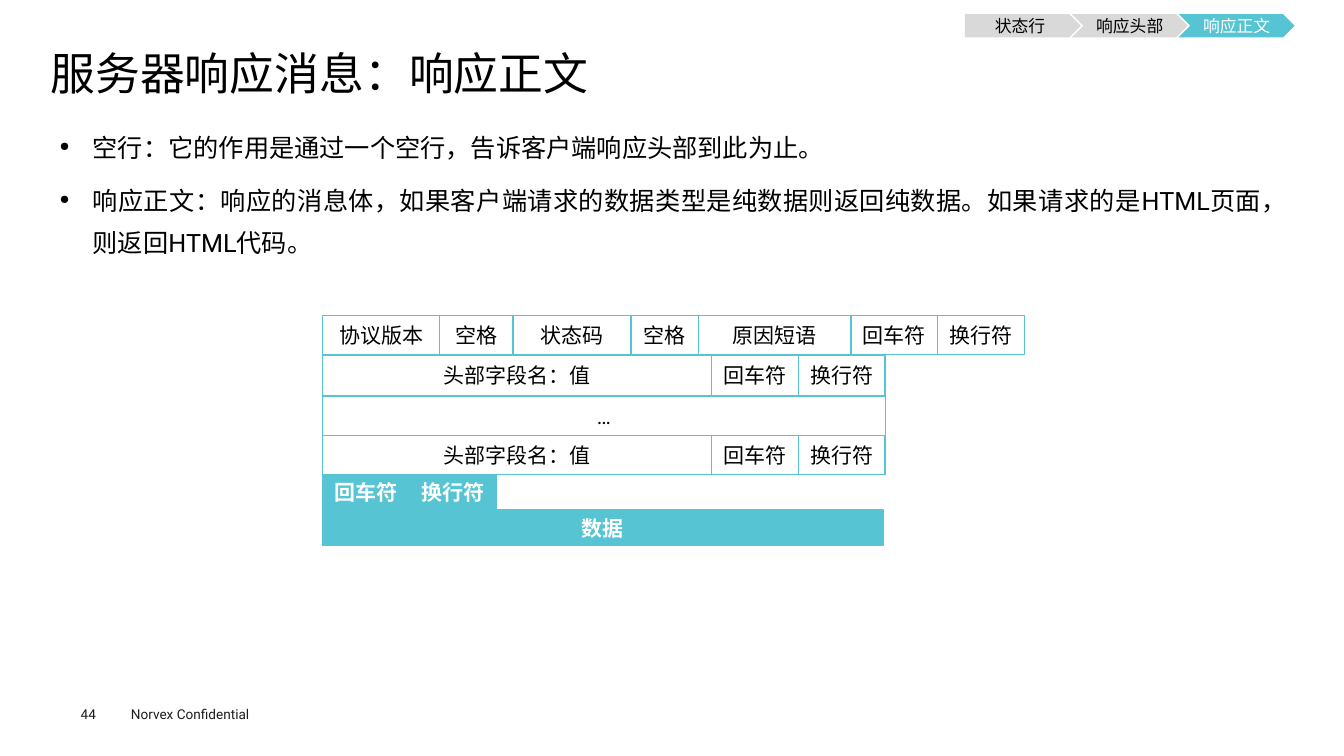
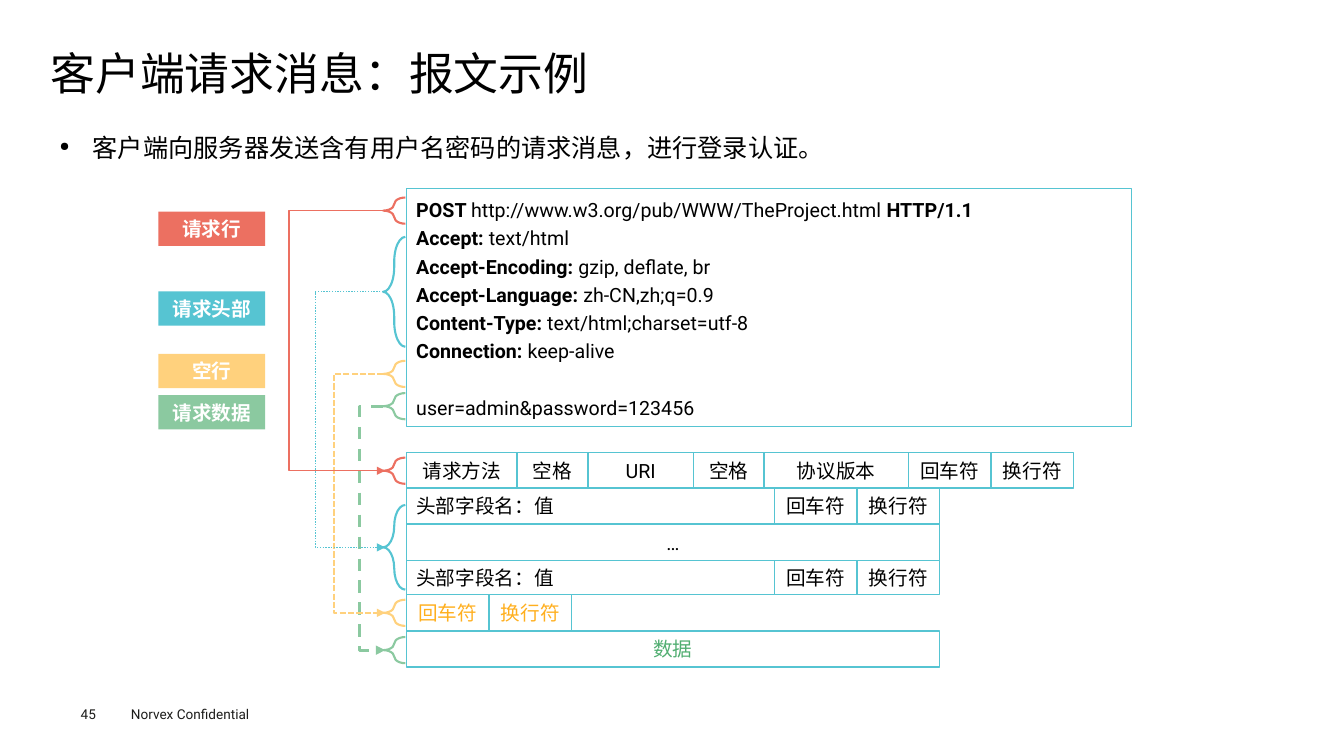
from dataclasses import dataclass

from lxml.etree import SubElement
from pptx import Presentation
from pptx.dml.color import RGBColor
from pptx.enum.dml import MSO_LINE
from pptx.enum.shapes import MSO_CONNECTOR, MSO_SHAPE
from pptx.enum.text import MSO_ANCHOR, PP_ALIGN
from pptx.oxml.ns import qn
from pptx.util import Inches, Pt

BLACK = RGBColor(0x00, 0x00, 0x00)
WHITE = RGBColor(0xFF, 0xFF, 0xFF)
INK = RGBColor(0x1D, 0x1D, 0x1B)
GREY = RGBColor(0xD9, 0xD9, 0xD9)
TEAL = RGBColor(0x56, 0xC4, 0xD2)
RED = RGBColor(0xEC, 0x70, 0x61)
YELLOW = RGBColor(0xFF, 0xD1, 0x7D)
ORANGE = RGBColor(0xFF, 0xAF, 0x1E)
GREEN = RGBColor(0x8B, 0xC9, 0xA0)
DARK_GREEN = RGBColor(0x51, 0xAE, 0x71)

COLUMNS, ROWS = 133.3, 75
RETURN, FEED, SPACE = "回车符", "换行符", "空格"
FIELD = "头部字段名：值"


@dataclass
class Row:
    height: float
    cells: list
    fill: RGBColor = None
    color: RGBColor = BLACK
    bold: bool = False


@dataclass
class Section:
    name: str
    color: RGBColor
    label_top: float
    upper: tuple
    lower: tuple
    bend: float
    weight: float
    dash: MSO_LINE = None


class Deck:
    font_name = "Roboto"

    def __init__(self):
        self.presentation = Presentation()
        self.presentation.slide_width = Inches(13.33)
        self.presentation.slide_height = Inches(7.5)
        self.slide = None

    def across(self, columns):
        return round(self.presentation.slide_width * columns / COLUMNS)

    def down(self, rows):
        return round(self.presentation.slide_height * rows / ROWS)

    def area(self, left, top, width, height):
        return self.across(left), self.down(top), self.across(width), self.down(height)

    def style(self, paragraph, size, color=BLACK, bold=False):
        paragraph.font.name = self.font_name
        paragraph.font.size = Pt(size)
        paragraph.font.bold = bold
        paragraph.font.color.rgb = color

    def text_box(self, area, inset=True):
        frame = self.slide.shapes.add_textbox(*self.area(*area)).text_frame
        frame.word_wrap = True
        if not inset:
            frame.margin_left = frame.margin_right = 0
            frame.margin_top = frame.margin_bottom = 0
        return frame

    def line_of_text(self, text, area, size, color=BLACK, inset=True):
        frame = self.text_box(area, inset)
        frame.text = text
        self.style(frame.paragraphs[0], size, color)
        return frame

    def add_slide(self, title, number):
        self.slide = self.presentation.slides.add_slide(self.presentation.slide_layouts[6])
        self.line_of_text("Norvex Confidential", (12, 69.5, 20, 2.7), 9.7, INK)
        self.line_of_text(str(number), (8, 70, 5.5, 1.6), 9.7, INK, inset=False)
        frame = self.line_of_text(title, (5, 4.9, 123.5, 5.3), 32, inset=False)
        frame.vertical_anchor = MSO_ANCHOR.MIDDLE
        frame.paragraphs[0].line_spacing = 0.9

    def bullets(self, texts):
        frame = self.text_box((5, 11.5, 123.5, 53.4))
        frame.margin_left = frame.margin_right = Inches(0.09)
        frame.margin_top = frame.margin_bottom = Inches(0.04)
        for index, text in enumerate(texts):
            paragraph = frame.add_paragraph() if index else frame.paragraphs[0]
            paragraph.text = text
            properties = paragraph._p.get_or_add_pPr()
            properties.set("marL", str(Inches(0.33)))
            properties.set("indent", str(-Inches(0.33)))
            SubElement(properties, qn("a:buSzPct")).set("val", "50000")
            SubElement(properties, qn("a:buChar")).set("char", "●")
            paragraph.alignment = PP_ALIGN.JUSTIFY
            paragraph.line_spacing = 1.4
            if index:
                paragraph.space_before = Pt(7.9)
            self.style(paragraph, 18)

    def shape(self, kind, area, fill=None, line=None, weight=1):
        shape = self.slide.shapes.add_shape(kind, *self.area(*area))
        shape.shadow.inherit = False
        if fill is None:
            shape.fill.background()
        else:
            shape.fill.solid()
            shape.fill.fore_color.rgb = fill
        if line is None:
            shape.line.fill.background()
        else:
            shape.line.color.rgb = line
            shape.line.width = Pt(weight)
        return shape

    def label(self, shape, text, size, color=BLACK, bold=False, align=PP_ALIGN.CENTER):
        frame = shape.text_frame
        frame.text = text
        frame.vertical_anchor = MSO_ANCHOR.MIDDLE
        frame.paragraphs[0].alignment = align
        self.style(frame.paragraphs[0], size, color, bold)

    def message_format(self, left, top, rows, size, field_align=PP_ALIGN.CENTER):
        for row in rows:
            cell_left = left
            for text, width in row.cells:
                cell = self.shape(MSO_SHAPE.RECTANGLE, (cell_left, top, width, row.height), row.fill, TEAL)
                align = field_align if text == FIELD else PP_ALIGN.CENTER
                self.label(cell, text, size, row.color, row.bold, align)
                cell_left += width
            top += row.height

    def progress(self, steps, current):
        for index, text in enumerate(steps):
            kind = MSO_SHAPE.CHEVRON if index else MSO_SHAPE.PENTAGON
            active = text == current
            step = self.shape(kind, (95.7 + 10.6 * index, 1.4, 11.5, 2.3), TEAL if active else GREY)
            self.label(step, text, 12, WHITE if active else BLACK)

    def message(self, area, lines, body):
        box = self.shape(MSO_SHAPE.RECTANGLE, area, line=TEAL, weight=0.75)
        frame = box.text_frame
        frame.word_wrap = True
        frame.vertical_anchor = MSO_ANCHOR.TOP
        for index, pieces in enumerate([*lines, [(body, False)]]):
            paragraph = frame.add_paragraph() if index else frame.paragraphs[0]
            paragraph.alignment = PP_ALIGN.LEFT
            paragraph.line_spacing = 1.2
            self.style(paragraph, 14)
            for text, bold in pieces:
                run = paragraph.add_run()
                run.text = text
                run.font.bold = bold
        paragraph.space_before = Pt(20)

    def brace(self, top, height, color):
        brace = self.shape(MSO_SHAPE.LEFT_BRACE, (38, top, 2.2, height), line=color, weight=1.5)
        brace.adjustments[0] = 1.12

    def elbow(self, start, end, bend, color, weight, dash):
        connector = self.slide.shapes.add_connector(
            MSO_CONNECTOR.ELBOW,
            self.across(start[0]), self.down(start[1]),
            self.across(end[0]), self.down(end[1]),
        )
        connector.line.color.rgb = color
        connector.line.width = Pt(weight)
        if dash is not None:
            connector.line.dash_style = dash
        properties = connector._element.spPr
        SubElement(properties.find(qn("a:ln")), qn("a:tailEnd")).set("type", "triangle")
        SubElement(properties, qn("a:effectLst"))
        guide = SubElement(properties.find(qn("a:prstGeom")).find(qn("a:avLst")), qn("a:gd"))
        guide.set("name", "adj1")
        ratio = (bend - start[0]) / (end[0] - start[0])
        guide.set("fmla", f"val {round(ratio * 100000)}")

    def linked_section(self, section):
        tag = self.shape(MSO_SHAPE.RECTANGLE, (15.7, section.label_top, 10.6, 3.4), section.color)
        self.label(tag, section.name, 14, WHITE, True)
        middles = []
        for top, height in (section.upper, section.lower):
            self.brace(top, height, section.color)
            middles.append(top + height / 2)
        self.elbow((38, middles[0]), (38.2, middles[1]), section.bend, section.color, section.weight, section.dash)


def response_body(deck):
    deck.add_slide("服务器响应消息：响应正文", 44)
    deck.bullets([
        "空行：它的作用是通过一个空行，告诉客户端响应头部到此为止。",
        "响应正文：响应的消息体，如果客户端请求的数据类型是纯数据则返回纯数据。如果请求的是HTML页面，则返回HTML代码。",
    ])
    ending = [(RETURN, 8.6), (FEED, 8.6)]
    field = [(FIELD, 38.6), *ending]
    deck.message_format(32, 31.3, [
        Row(3.9, [("协议版本", 11.6), (SPACE, 7.3), ("状态码", 11.7), (SPACE, 6.7), ("原因短语", 15.1), *ending]),
        Row(4.1, field),
        Row(3.9, [("…", 55.8)]),
        Row(3.9, field),
        Row(3.5, ending, TEAL, WHITE, True),
        Row(3.5, [("数据", 55.6)], TEAL, WHITE, True),
    ], 15)
    deck.progress(["状态行", "响应头部", "响应正文"], "响应正文")


def request_example(deck):
    deck.add_slide("客户端请求消息：报文示例", 45)
    deck.bullets(["客户端向服务器发送含有用户名密码的请求消息，进行登录认证。"])
    headers = [
        ("Accept: ", "text/html"),
        ("Accept-Encoding: ", "gzip, deflate, br"),
        ("Accept-Language: ", "zh-CN,zh;q=0.9"),
        ("Content-Type: ", "text/html;charset=utf-8"),
        ("Connection: ", "keep-alive"),
    ]
    request_line = [
        ("POST ", True),
        ("http://www.w3.org/pub/WWW/TheProject.html ", False),
        ("HTTP/1.1", True),
    ]
    lines = [request_line] + [[(name, True), (value, False)] for name, value in headers]
    deck.message((40.3, 18.7, 71.9, 23.6), lines, "user=admin&password=123456")
    ending = [(RETURN, 8.2), (FEED, 8.2)]
    field = [(FIELD, 36.5), *ending]
    deck.message_format(40.3, 44.9, [
        Row(3.5, [("请求方法", 11), (SPACE, 7), ("URI", 10.5), (SPACE, 7), ("协议版本", 14.3), *ending], WHITE),
        Row(3.6, field, WHITE),
        Row(3.6, [("…", 52.9)], WHITE),
        Row(3.4, field, WHITE),
        Row(3.6, ending, WHITE, ORANGE),
        Row(3.6, [("数据", 52.9)], WHITE, DARK_GREEN),
    ], 14, PP_ALIGN.LEFT)
    for section in (
        Section("请求数据", GREEN, 39.2, (39, 2.6), (63.2, 2.6), 35.7, 2.25, MSO_LINE.DASH),
        Section("空行", YELLOW, 35.1, (35.8, 2.6), (59.5, 2.6), 33.1, 1.5, MSO_LINE.SQUARE_DOT),
        Section("请求头部", TEAL, 28.9, (23.5, 10.9), (50.1, 8.4), 31.3, 1, MSO_LINE.ROUND_DOT),
        Section("请求行", RED, 21, (19.6, 2.6), (45.4, 2.6), 28.7, 1),
    ):
        deck.linked_section(section)


def main():
    deck = Deck()
    response_body(deck)
    request_example(deck)
    deck.presentation.save("out.pptx")


if __name__ == "__main__":
    main()
